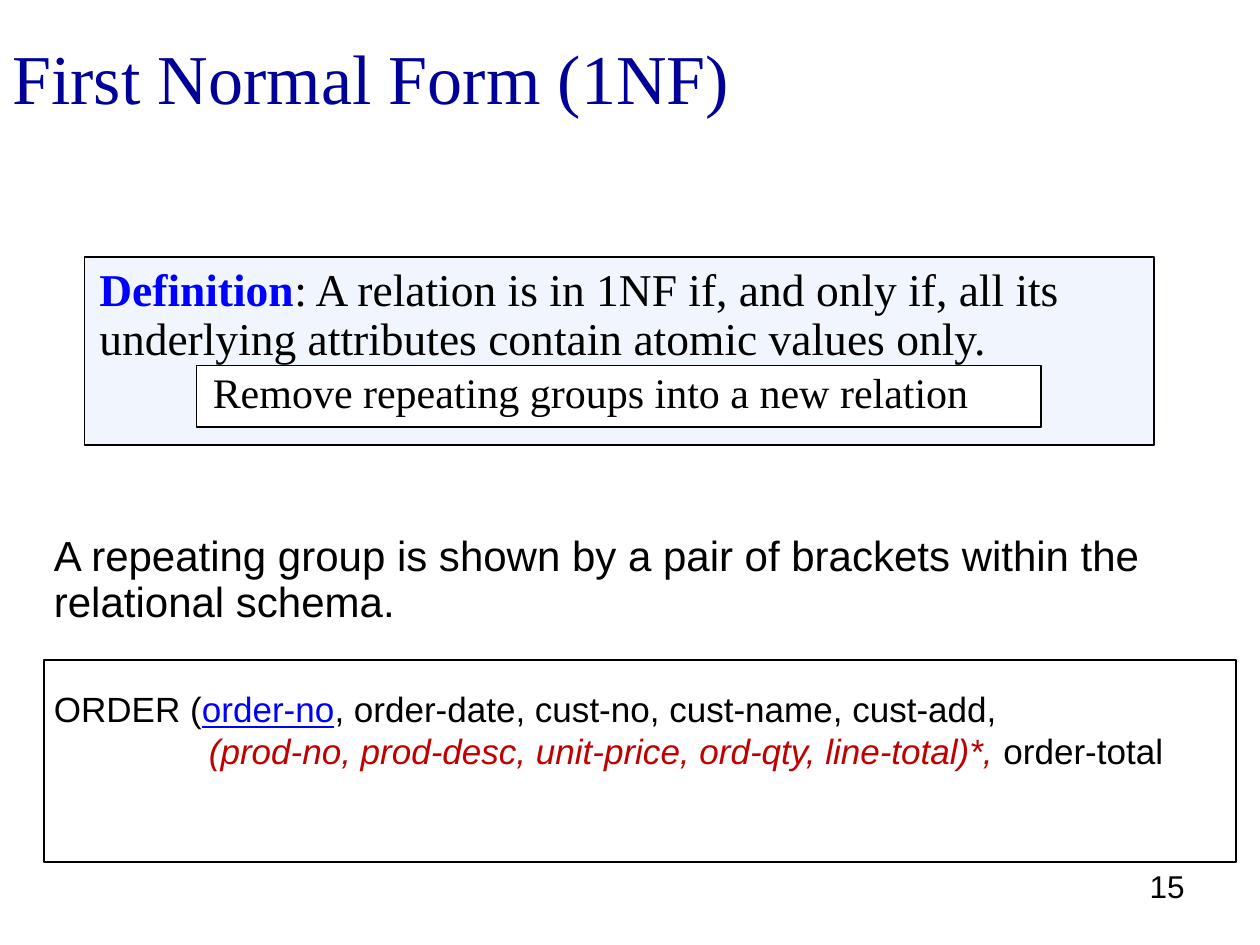
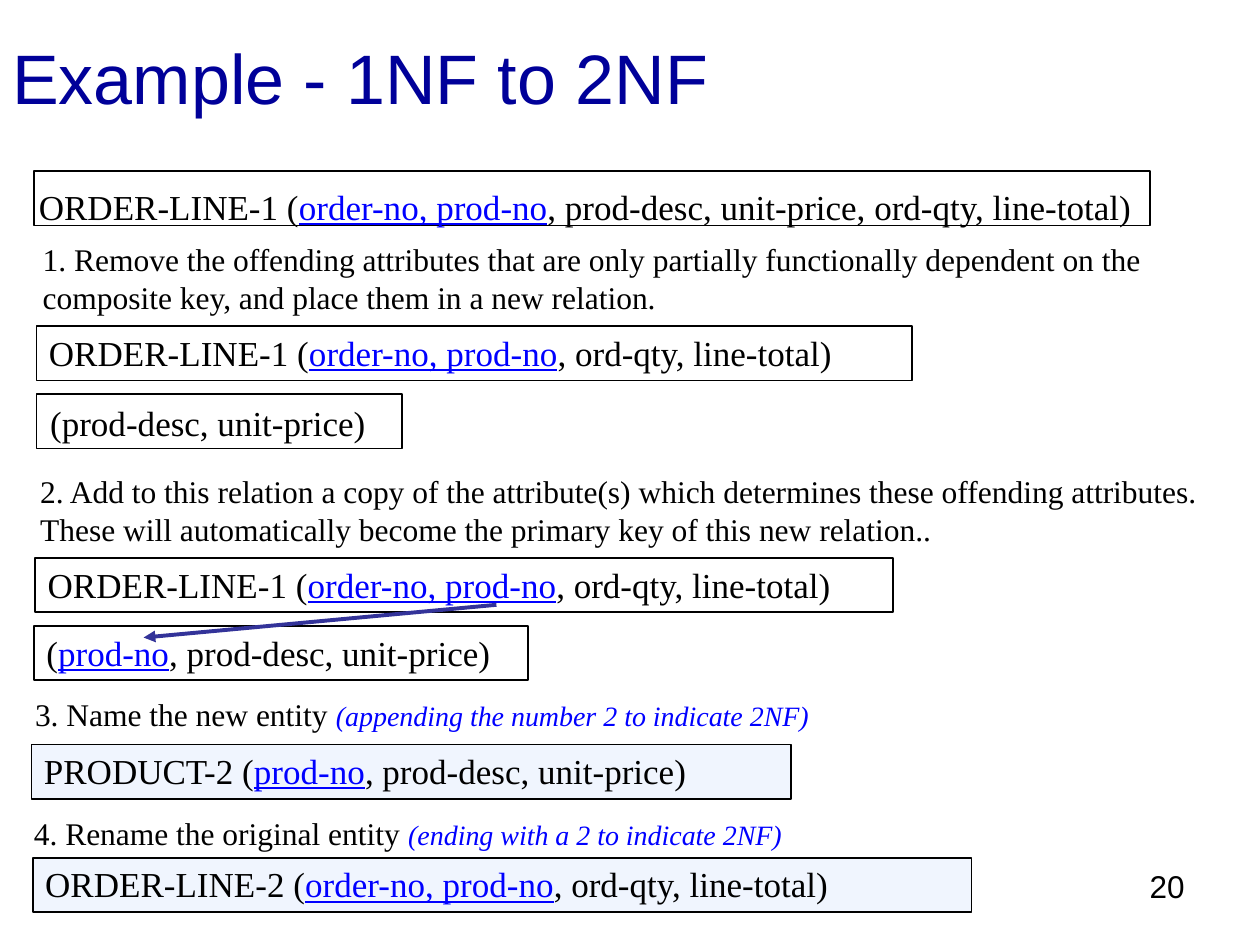
from lxml import etree
from pptx import Presentation
from pptx.dml.color import RGBColor
from pptx.enum.shapes import MSO_CONNECTOR, MSO_SHAPE
from pptx.enum.text import MSO_ANCHOR, PP_ALIGN
from pptx.oxml.ns import qn
from pptx.util import Inches, Pt

RECTANGLE = MSO_SHAPE.RECTANGLE
STRAIGHT = MSO_CONNECTOR.STRAIGHT
TOP, MIDDLE = MSO_ANCHOR.TOP, MSO_ANCHOR.MIDDLE
LEFT, RIGHT = PP_ALIGN.LEFT, PP_ALIGN.RIGHT

SERIF, SANS = "Times New Roman", "Arial"
NAVY, BLUE, RED = "000099", "0000FF", "C00000"
BLACK, WHITE, PALE, INDIGO = "000000", "FFFFFF", "F0F5FE", "333399"

KEY = {"color": BLUE, "underline": True}
TERM = {"color": BLUE, "bold": True}
GROUP = {"color": RED, "italic": True}
HINT = {"color": BLUE, "italic": True, "size": 16}

SLIDE_BOX = (0, 0, 10, 7.5)


def rgb(value):
    return RGBColor.from_string(value)


def add_runs(paragraph, runs, font, size, color):
    for content in runs:
        words, style = (content, {}) if isinstance(content, str) else content
        run = paragraph.add_run()
        run.text = words
        run.font.name = font
        run.font.size = Pt(style.get("size", size))
        run.font.color.rgb = rgb(style.get("color", color))
        run.font.bold = style.get("bold", False)
        run.font.italic = style.get("italic", False)
        run.font.underline = style.get("underline", False)


def add_text(slide, box, lines, font=SERIF, size=20, color=BLACK,
             align=LEFT, anchor=TOP, spacing=1.0):
    frame = slide.shapes.add_textbox(*map(Inches, box)).text_frame
    frame.word_wrap = True
    frame.vertical_anchor = anchor
    for index, runs in enumerate(lines):
        paragraph = frame.add_paragraph() if index else frame.paragraphs[0]
        paragraph.alignment = align
        paragraph.line_spacing = spacing
        add_runs(paragraph, runs, font, size, color)
    return frame


def add_panel(slide, box, fill=WHITE):
    panel = slide.shapes.add_shape(RECTANGLE, *map(Inches, box))
    panel.shadow.inherit = False
    panel.fill.solid()
    panel.fill.fore_color.rgb = rgb(fill)
    panel.line.color.rgb = rgb(BLACK)
    panel.line.width = Pt(1)


def add_arrow(slide, tip, origin):
    arrow = slide.shapes.add_connector(STRAIGHT, *map(Inches, tip + origin))
    arrow.line.color.rgb = rgb(INDIGO)
    arrow.line.width = Pt(2.25)
    outline = arrow.line._get_or_add_ln()
    etree.SubElement(outline, qn("a:headEnd"), type="triangle")
    etree.SubElement(arrow._element.spPr, qn("a:effectLst"))


def add_page(deck, box, title, number, title_font):
    left, top, width, height = box
    slide = deck.slides.add_slide(deck.slide_layouts[6])
    slide.background.fill.solid()
    slide.background.fill.fore_color.rgb = rgb(WHITE)
    add_text(slide, (left, top, width, 1.21), [[title]],
             title_font, 40, NAVY, anchor=MIDDLE)
    add_text(slide, (left + width - 2.83, top + height - 0.67, 2.33, 0.52),
             [[number]], SANS, 18, align=RIGHT)
    return slide


def add_definition(slide, box):
    left, top, width, height = box
    add_panel(slide, box, PALE)
    add_text(slide, (left + 0.02, top + 0.03, width + 0.05, 1.17),
             [[("Definition", TERM),
               ": A relation is in 1NF if, and only if, all its "
               "underlying attributes contain atomic values only."]],
             size=26, spacing=0.9)
    add_panel(slide, (left + 0.89, top + 0.86, 6.7, 0.49))
    add_text(slide, (left + 0.92, top + 0.82, 6.59, 0.5),
             [["Remove repeating groups into a new relation"]], size=24)


def add_repeating_group(slide, box):
    left, top, width, height = box
    add_text(slide, (left, top, 9.43, 0.83),
             [["A repeating group is shown by a pair of brackets within "
               "the relational schema."]], SANS, 24, spacing=0.9)
    add_panel(slide, (left + 0.02, top + 1.04, 9.46, height - 1.04))
    schema = add_text(
        slide, (left, top + 1.21, width, 1.11),
        [["ORDER (", ("order-no", KEY),
          ", order-date, cust-no, cust-name, cust-add, "],
         [("(prod-no, prod-desc, unit-price, ord-qty, line-total)*, ", GROUP),
          "order-total"]], SANS)
    properties = schema.paragraphs[1]._p.get_or_add_pPr()
    properties.set("marL", str(Inches(1.23)))
    properties.set("indent", "0")


def add_relation(slide, box, runs, fill=WHITE, shift=(0, -0.01)):
    left, top, width, height = box
    add_panel(slide, box, fill)
    add_text(slide, (left + shift[0], top + shift[1], width + 0.3, 0.44), [runs])


def add_step(slide, box, runs, spacing=1.0):
    add_text(slide, box, [runs], size=18, spacing=spacing)


def relation(name, key, rest):
    return [name + "(", (key, KEY), f", {rest})"]


def build_first_normal_form(deck):
    slide = add_page(deck, SLIDE_BOX, "First Normal Form (1NF)", "15", SERIF)
    add_definition(slide, (0.67, 2.04, 8.49, 1.49))
    add_repeating_group(slide, (0.33, 4.2, 9.67, 2.64))


def build_second_normal_form(deck):
    slide = add_page(deck, SLIDE_BOX, "Example - 1NF to 2NF", "20", SANS)
    line_key, line_rest = "order-no, prod-no", "ord-qty, line-total"
    product_key, product_rest = "prod-no", "prod-desc, unit-price"
    order_line = relation("ORDER-LINE-1 ", line_key, line_rest)
    row = 0.43

    add_relation(slide, (0.27, 1.36, 8.86, row),
                 relation("ORDER-LINE-1 ", line_key,
                          f"{product_rest}, {line_rest}"),
                 shift=(-0.06, 0.06))

    add_step(slide, (0.24, 1.86, 9.39, 0.7),
             ["1. Remove the offending attributes that are only partially "
              "functionally dependent on the composite key, and place them "
              "in a new relation."])
    add_relation(slide, (0.29, 2.59, 6.95, row), order_line)
    add_relation(slide, (0.29, 3.13, 2.9, row), [f"({product_rest})"],
                 shift=(0.01, 0.01))

    add_step(slide, (0.22, 3.7, 9.41, 0.7),
             ["2. Add to this relation a copy of the attribute(s) which "
              "determines these offending attributes. These will "
              "automatically become the primary key of this new relation.."])
    add_relation(slide, (0.28, 4.43, 6.81, row), order_line)
    add_relation(slide, (0.27, 4.97, 3.92, row),
                 relation("", product_key, product_rest))
    add_arrow(slide, (1.14, 5.06), (3.94, 4.8))

    add_step(slide, (0.18, 5.5, 7.53, 0.37),
             ["3. Name the new entity ",
              ("(appending the number 2 to indicate 2NF)", HINT)], 0.9)
    add_relation(slide, (0.25, 5.91, 6.03, row),
                 relation("PRODUCT-2 ", product_key, product_rest), PALE)

    add_step(slide, (0.17, 6.41, 7.49, 0.4),
             ["4. Rename the original entity ",
              ("(ending with a 2 to indicate 2NF)", HINT)])
    add_relation(slide, (0.26, 6.81, 7.45, row),
                 relation("ORDER-LINE-2 ", line_key, line_rest), PALE)


deck = Presentation()
deck.slide_width, deck.slide_height = map(Inches, SLIDE_BOX[2:])
build_first_normal_form(deck)
build_second_normal_form(deck)
deck.save("out.pptx")
